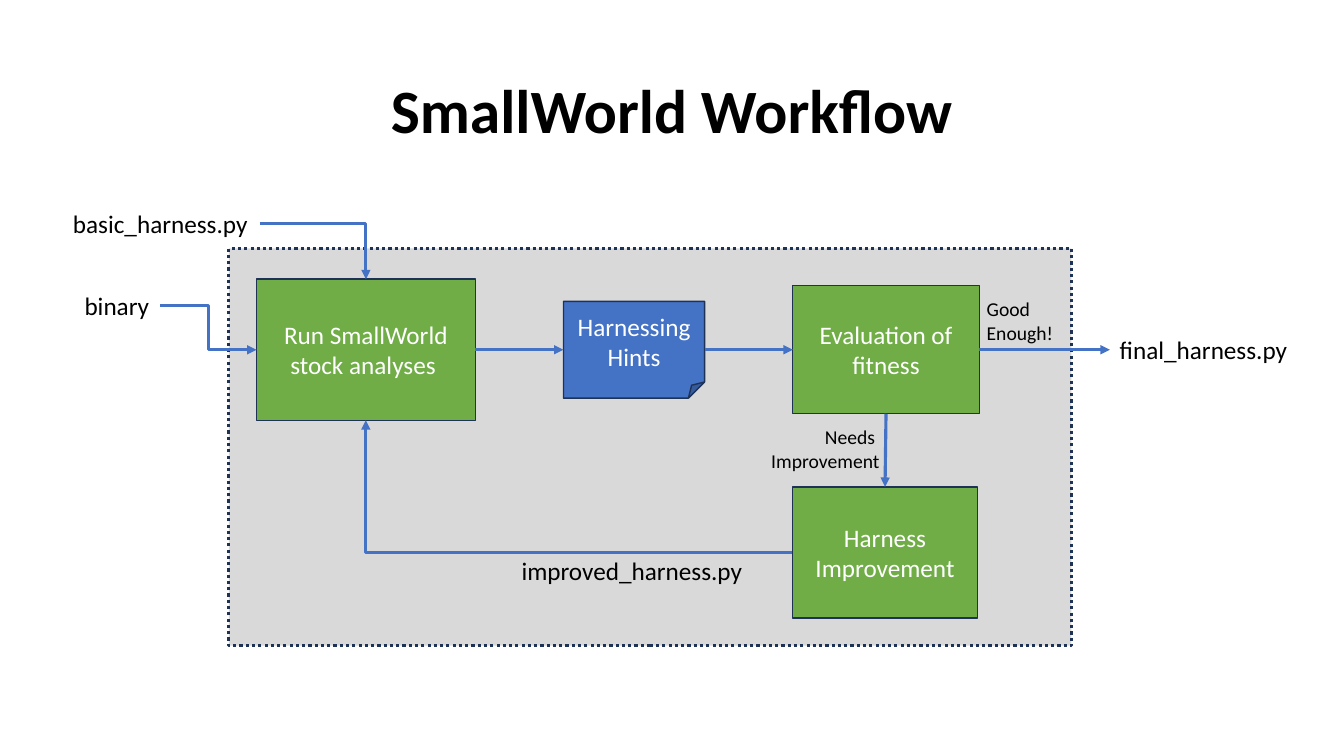
from dataclasses import dataclass

from lxml.etree import SubElement
from pptx import Presentation
from pptx.dml.color import RGBColor
from pptx.enum.dml import MSO_LINE
from pptx.enum.shapes import MSO_CONNECTOR, MSO_SHAPE
from pptx.enum.text import MSO_ANCHOR, MSO_AUTO_SIZE, PP_ALIGN
from pptx.oxml.ns import qn
from pptx.shapes.autoshape import Shape
from pptx.shapes.shapetree import SlideShapes
from pptx.util import Inches, Pt

CELL = Inches(0.1)
COLUMNS, ROWS = 133.33, 75
TOP, LEFT, BOTTOM, RIGHT = range(4)


@dataclass(frozen=True)
class Theme:
    font: str = "Calibri"
    title_size: int = 44
    body_size: int = 18
    note_size: int = 14
    outline_width: float = 1
    flow_width: float = 2.25
    text: RGBColor = RGBColor.from_string("000000")
    inverse: RGBColor = RGBColor.from_string("FFFFFF")
    panel: RGBColor = RGBColor.from_string("D9D9D9")
    step: RGBColor = RGBColor.from_string("70AD47")
    flow: RGBColor = RGBColor.from_string("4472C4")
    outline: RGBColor = RGBColor.from_string("1E3256")


THEME = Theme()


@dataclass(frozen=True)
class Area:
    column: float
    row: float
    columns: float
    rows: float

    def lengths(self) -> tuple[int, ...]:
        cells = (self.column, self.row, self.columns, self.rows)
        return tuple(round(count * CELL) for count in cells)


@dataclass(frozen=True)
class Box:
    area: Area
    text: str = ""
    fill: RGBColor = THEME.step
    preset: MSO_SHAPE = MSO_SHAPE.RECTANGLE
    outline_width: float = THEME.outline_width


@dataclass(frozen=True)
class Label:
    area: Area
    text: str
    size: int = THEME.body_size
    align: PP_ALIGN = PP_ALIGN.LEFT


@dataclass(frozen=True)
class Flow:
    source: str
    source_side: int
    target: str
    target_side: int
    preset: str = "straightConnector1"


PANEL = Box(Area(22.7, 24.65, 83.6, 39.4), fill=THEME.panel,
            outline_width=THEME.flow_width)
TITLE = Label(Area(9.15, 4, 115, 14.5), "SmallWorld Workflow",
              THEME.title_size, PP_ALIGN.CENTER)

BOXES = {
    "analyses": Box(Area(25.45, 27.7, 21.7, 14), "Run SmallWorld stock analyses "),
    "evaluation": Box(Area(78.65, 28.35, 18.5, 12.7), "Evaluation of fitness"),
    "hints": Box(Area(55.9, 29.9, 14, 9.6), "Harnessing Hints",
                 THEME.flow, MSO_SHAPE.FOLDED_CORNER),
    "improvement": Box(Area(78.6, 48.3, 18.4, 13), "Harness Improvement"),
}

LABELS = {
    "basic": Label(Area(6.25, 20.2, 19.5, 4), "basic_harness.py"),
    "binary": Label(Area(7.4, 28.35, 8.5, 4), "binary"),
    "improved": Label(Area(50.75, 54.6, 24.1, 4), "improved_harness.py"),
    "final": Label(Area(110.1, 32.7, 18.8, 4), "final_harness.py"),
    "good": Label(Area(96.9, 29, 8.7, 5.7), "Good\nEnough!", THEME.note_size),
    "needs": Label(Area(75.35, 41.7, 12.9, 5.7), "Needs \nImprovement",
                   THEME.note_size, PP_ALIGN.RIGHT),
}

FLOWS = [
    Flow("basic", RIGHT, "analyses", TOP, "bentConnector2"),
    Flow("binary", RIGHT, "analyses", LEFT, "bentConnector3"),
    Flow("analyses", RIGHT, "hints", LEFT),
    Flow("hints", RIGHT, "evaluation", LEFT),
    Flow("evaluation", RIGHT, "final", LEFT),
    Flow("evaluation", BOTTOM, "improvement", TOP),
    Flow("improvement", LEFT, "analyses", BOTTOM, "bentConnector2"),
]


def write(shape: Shape, text: str, size: int, color: RGBColor, align: PP_ALIGN) -> None:
    shape.text_frame.text = text
    for paragraph in shape.text_frame.paragraphs:
        paragraph.alignment = align
        for run in paragraph.runs:
            run.font.name = THEME.font
            run.font.size = Pt(size)
            run.font.color.rgb = color


def draw_box(shapes: SlideShapes, box: Box) -> Shape:
    shape = shapes.add_shape(box.preset, *box.area.lengths())
    shape.shadow.inherit = False
    shape.fill.solid()
    shape.fill.fore_color.rgb = box.fill
    shape.line.color.rgb = THEME.outline
    shape.line.width = Pt(box.outline_width)
    if box.text:
        write(shape, box.text, THEME.body_size, THEME.inverse, PP_ALIGN.CENTER)
        shape.text_frame.vertical_anchor = MSO_ANCHOR.MIDDLE
    return shape


def draw_label(shapes: SlideShapes, label: Label) -> Shape:
    shape = shapes.add_textbox(*label.area.lengths())
    write(shape, label.text, label.size, THEME.text, label.align)
    shape.text_frame.word_wrap = False
    shape.text_frame.auto_size = MSO_AUTO_SIZE.SHAPE_TO_FIT_TEXT
    return shape


def draw_title(shapes: SlideShapes, label: Label) -> None:
    frame = draw_label(shapes, label).text_frame
    frame.word_wrap = True
    frame.auto_size = MSO_AUTO_SIZE.NONE
    frame.vertical_anchor = MSO_ANCHOR.MIDDLE
    paragraph = frame.paragraphs[0]
    paragraph.line_spacing = 0.9
    paragraph.runs[0].font.bold = True


def draw_flow(shapes: SlideShapes, flow: Flow, nodes: dict[str, Shape]) -> None:
    connector = shapes.add_connector(MSO_CONNECTOR.STRAIGHT, 0, 0, 0, 0)
    connector.begin_connect(nodes[flow.source], flow.source_side)
    connector.end_connect(nodes[flow.target], flow.target_side)
    connector.line.color.rgb = THEME.flow
    connector.line.width = Pt(THEME.flow_width)
    properties = connector._element.spPr
    properties.find(qn("a:prstGeom")).set("prst", flow.preset)
    SubElement(properties.find(qn("a:ln")), qn("a:tailEnd"), type="triangle")
    SubElement(properties, qn("a:effectLst"))


def main() -> None:
    presentation = Presentation()
    presentation.slide_width = round(COLUMNS * CELL)
    presentation.slide_height = ROWS * CELL
    slide = presentation.slides.add_slide(presentation.slide_layouts[6])
    shapes = slide.shapes

    draw_box(shapes, PANEL).line.dash_style = MSO_LINE.ROUND_DOT
    draw_title(shapes, TITLE)
    nodes = {name: draw_box(shapes, box) for name, box in BOXES.items()}
    nodes |= {name: draw_label(shapes, label) for name, label in LABELS.items()}
    for flow in FLOWS:
        draw_flow(shapes, flow, nodes)

    presentation.save("out.pptx")


if __name__ == "__main__":
    main()
